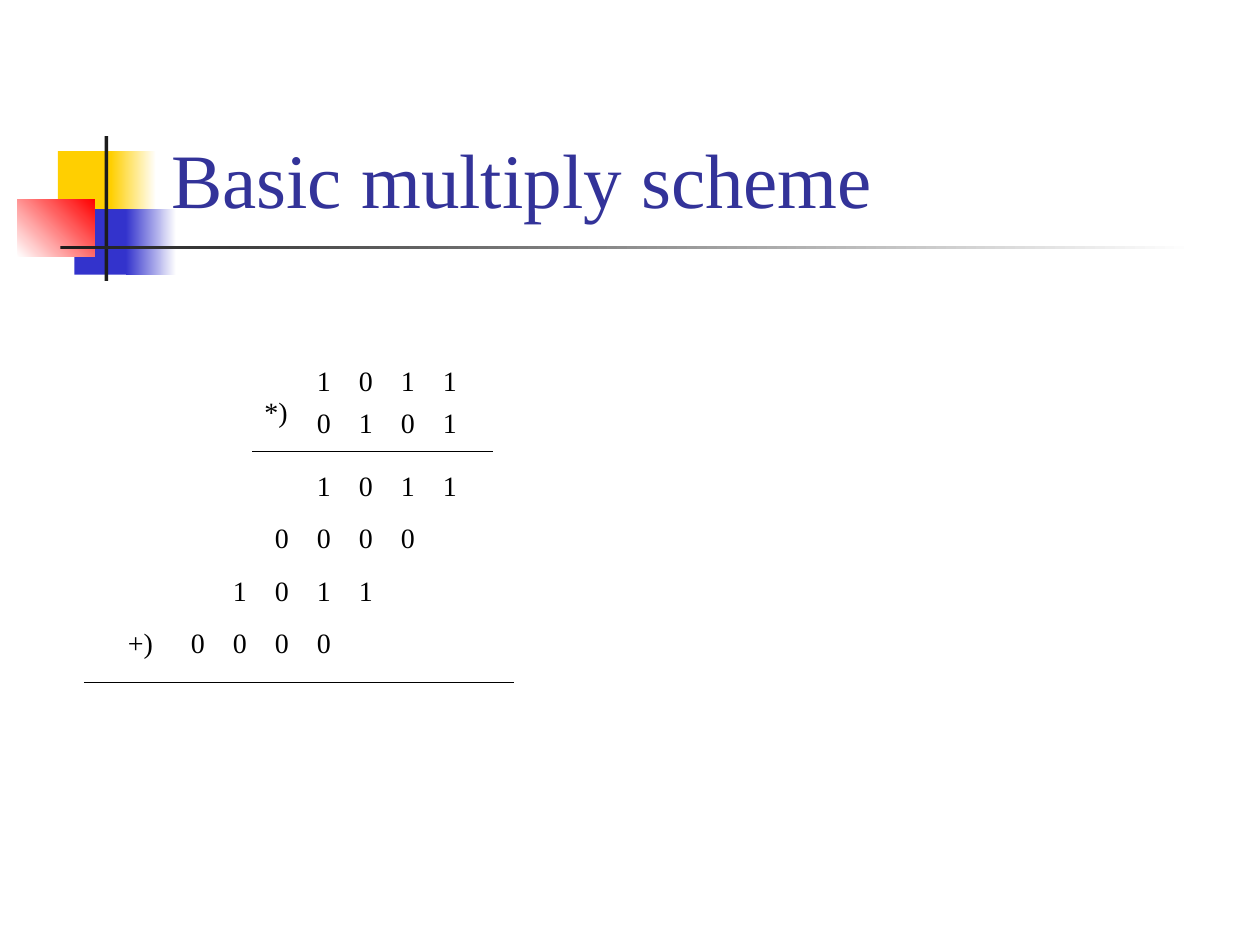
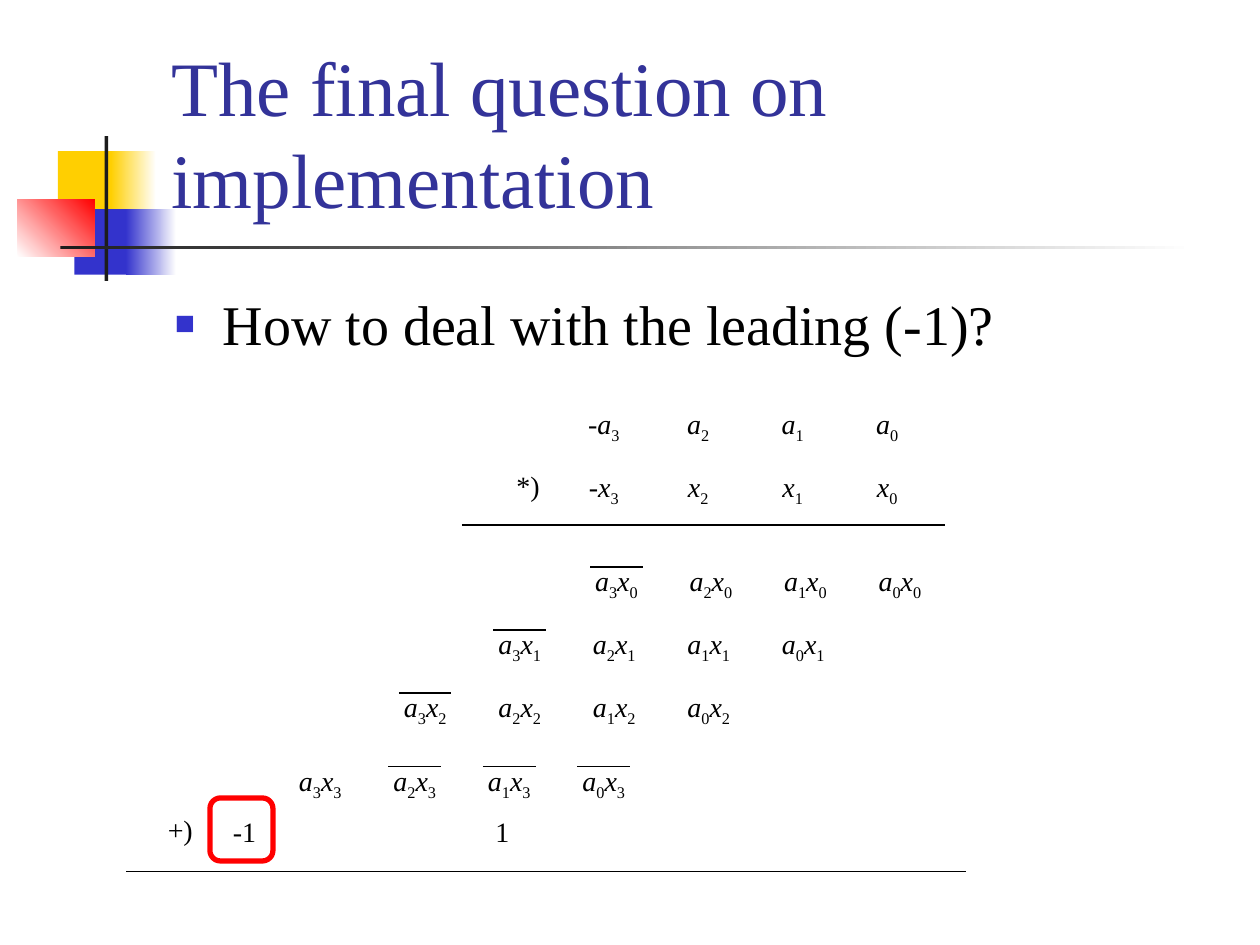
import itertools

import pptx
import pptx.dml.color
import pptx.enum.shapes
import pptx.enum.text
import pptx.oxml
import pptx.oxml.ns
import pptx.util

RGBColor = pptx.dml.color.RGBColor
PP_ALIGN = pptx.enum.text.PP_ALIGN
ANCHOR = pptx.enum.text.MSO_ANCHOR
SHAPE = pptx.enum.shapes.MSO_SHAPE
Pt = pptx.util.Pt

BLACK = RGBColor(0x00, 0x00, 0x00)
WHITE = RGBColor(0xFF, 0xFF, 0xFF)
INK = RGBColor(0x1C, 0x1C, 0x1C)
YELLOW = RGBColor(0xFF, 0xCF, 0x01)
BLUE = RGBColor(0x33, 0x33, 0xCC)
RED = RGBColor(0xFF, 0x00, 0x00)
TITLE_BLUE = RGBColor(0x33, 0x33, 0x99)
FONT = "Times New Roman"

# Left, top, width, height in inches; colours from start to end; angle
ORNAMENT = [
    ((0.46, 1.2, 0.48, 0.52), (YELLOW,), 0),
    ((0.88, 1.2, 0.36, 0.52), (YELLOW, WHITE), 0),
    ((0.59, 1.66, 0.46, 0.52), (BLUE,), 0),
    ((1, 1.66, 0.4, 0.52), (BLUE, WHITE), 0),
    ((0.14, 1.58, 0.61, 0.46), (WHITE, RED), 45),
    ((0.83, 1.08, 0.03, 1.15), (INK,), 0),
    ((0.48, 1.95, 9, 0.03), (INK, WHITE), 0),
]
TITLE_BOX = (1.26, 0.23, 8.52, 1.6)

# Both schemes lie on a grid of twelve units to the inch
UNIT = 1 / 12
TEXT_STYLE = {"name": FONT, "size": Pt(16)}
TITLE_STYLE = {"name": FONT, "size": Pt(44)}
QUESTION_STYLE = {"name": FONT, "size": Pt(32)}

BASIC = {
    "title": "Basic multiply scheme",
    "factors": ["1011", "0101"],
    "partials": ["1011", "0000", "1011", "0000"],
    "signs": [("*)", 24, 37), ("+)", 11, 59)],
    "rules": [(24, 47, 43), (8, 49, 65)],  # from column, to column, row
}
DIGIT_STEP = 4

FINAL = {
    "title": "The final question on implementation",
    "question": "How to deal with the leading (-1)?",
    # Left column, top row, terms, positions of the overlined terms
    "rows": [
        (53, 38, ["-a3", "a2", "a1", "a0"], []),
        (53, 44, ["-x3", "x2", "x1", "x0"], []),
        (54.2, 53, ["a3x0", "a2x0", "a1x0", "a0x0"], [0]),
        (45, 59, ["a3x1", "a2x1", "a1x1", "a0x1"], [0]),
        (36, 65, ["a3x2", "a2x2", "a1x2", "a0x2"], [0]),
        (26, 72, ["a3x3", "a2x3", "a1x3", "a0x3"], [1, 2, 3]),
    ],
    "signs": [("*)", 48, 44), ("-1", 21, 77), ("1", 46, 77), ("+)", 14.8, 76.8)],
    "rules": [(44, 90, 50), (12, 92, 83)],
    "highlight": (20, 76, 6, 6),
}
TERM_STEP = 9


def inches(*lengths):
    return [pptx.util.Inches(length) for length in lengths]


def grid(*units):
    return inches(*(unit * UNIT for unit in units))


def add_run(paragraph, text, style, color=BLACK):
    run = paragraph.add_run()
    run.text = text
    for attribute, value in style.items():
        setattr(run.font, attribute, value)
    run.font.color.rgb = color
    return run


def add_paragraph_xml(paragraph, *fragments):
    properties = paragraph._p.get_or_add_pPr()
    for fragment in fragments:
        tag, rest = fragment.split(" ", 1)
        properties.append(pptx.oxml.parse_xml(
            f'<a:{tag} {pptx.oxml.ns.nsdecls("a")} {rest}'))
    return properties


def add_box(slide, place, anchor=ANCHOR.TOP):
    """Add a wrapping text box and give back its first paragraph."""
    frame = slide.shapes.add_textbox(*place).text_frame
    frame.word_wrap = True
    frame.vertical_anchor = anchor
    return frame.paragraphs[0]


def add_digits(slide, digits, column, row):
    """Write one binary number with its digits on evenly spaced tab stops."""
    paragraph = add_box(slide, grid(column, row, 17, 4.4))
    stops = grid(*(DIGIT_STEP * i for i in range(1, len(digits))))
    tabs = "".join(f'<a:tab pos="{stop}" algn="l"/>' for stop in stops)
    add_paragraph_xml(paragraph, f"tabLst >{tabs}</a:tabLst>")
    add_run(paragraph, "\t".join(digits), TEXT_STYLE)


def add_term(slide, term, column, row):
    """Write a product such as a3x0 with italic letters and lowered indices."""
    paragraph = add_box(slide, grid(column, row, TERM_STEP, 5), ANCHOR.MIDDLE)
    paragraph.alignment = PP_ALIGN.CENTER
    for is_index, letters in itertools.groupby(term, str.isdigit):
        run = add_run(paragraph, "".join(letters),
                      {**TEXT_STYLE, "italic": not is_index})
        if is_index:
            run._r.get_or_add_rPr().set("baseline", "-25000")


def add_rule(slide, start, end, row):
    rule = slide.shapes.add_connector(
        pptx.enum.shapes.MSO_CONNECTOR.STRAIGHT, *grid(start, row, end, row))
    rule.line.color.rgb = BLACK
    rule.line.width = Pt(0.75)
    rule.element.spPr.append(pptx.oxml.parse_xml(
        f'<a:effectLst {pptx.oxml.ns.nsdecls("a")}/>'))


def add_signs_and_rules(slide, scheme):
    for sign, column, row in scheme["signs"]:
        add_run(add_box(slide, grid(column, row, 6, 4.4)), sign, TEXT_STYLE)
    for start, end, row in scheme["rules"]:
        add_rule(slide, start, end, row)


def add_ornament(slide, layout):
    """Draw the ornament once and hand it to the layout for every slide."""
    for number, (place, colors, angle) in enumerate(ORNAMENT):
        block = slide.shapes.add_shape(SHAPE.RECTANGLE, *inches(*place))
        block.shadow.inherit = False
        block.line.fill.background()
        if len(colors) == 1:
            block.fill.solid()
            block.fill.fore_color.rgb = colors[0]
        else:
            block.fill.gradient()
            block.fill.gradient_angle = angle
            for stop, color in zip(block.fill.gradient_stops, colors):
                stop.color.rgb = color
        block.element.nvSpPr.cNvPr.set("id", str(100 + number))
        layout.element.cSld.spTree.append(block.element)


def add_titled_slide(deck, layout, text):
    slide = deck.slides.add_slide(layout)
    title = slide.shapes.title
    title.left, title.top, title.width, title.height = inches(*TITLE_BOX)
    frame = title.text_frame
    frame.word_wrap = True
    frame.auto_size = pptx.enum.text.MSO_AUTO_SIZE.NONE
    frame.vertical_anchor = ANCHOR.BOTTOM
    frame.paragraphs[0].alignment = PP_ALIGN.LEFT
    add_run(frame.paragraphs[0], text, TITLE_STYLE, TITLE_BLUE)
    return slide


def fill_basic(slide):
    for i, factor in enumerate(BASIC["factors"]):
        add_digits(slide, factor, 29, 34 + 4 * i)
    for i, partial in enumerate(BASIC["partials"]):
        add_digits(slide, partial, 29 - DIGIT_STEP * i, 44 + 5 * i)
    add_signs_and_rules(slide, BASIC)


def fill_final(slide):
    question = add_box(slide, inches(1.29, 2.25, 8.5, 0.71))
    properties = add_paragraph_xml(
        question, f'buClr ><a:srgbClr val="{BLUE}"/></a:buClr>',
        'buSzPct val="60000"/>', f'buFont typeface="{FONT}"/>', 'buChar char="■"/>')
    hang = pptx.util.Inches(0.38)
    properties.set("marL", str(hang))
    properties.set("indent", str(-hang))
    add_run(question, FINAL["question"], QUESTION_STYLE)

    for left, row, terms, overlined in FINAL["rows"]:
        for i, term in enumerate(terms):
            column = left + TERM_STEP * i
            add_term(slide, term, column, row)
            if i in overlined:
                add_rule(slide, column + 2, column + 7, row + 1)
    add_signs_and_rules(slide, FINAL)

    highlight = slide.shapes.add_shape(
        SHAPE.ROUNDED_RECTANGLE, *grid(*FINAL["highlight"]))
    highlight.shadow.inherit = False
    highlight.fill.background()
    highlight.line.color.rgb = RED
    highlight.line.width = Pt(3)


def main():
    deck = pptx.Presentation()
    deck.slide_width, deck.slide_height = inches(10, 7.5)
    layout = deck.slide_layouts.get_by_name("Title Only")
    basic = add_titled_slide(deck, layout, BASIC["title"])
    add_ornament(basic, layout)
    fill_basic(basic)
    fill_final(add_titled_slide(deck, layout, FINAL["title"]))
    deck.save("out.pptx")


if __name__ == "__main__":
    main()
